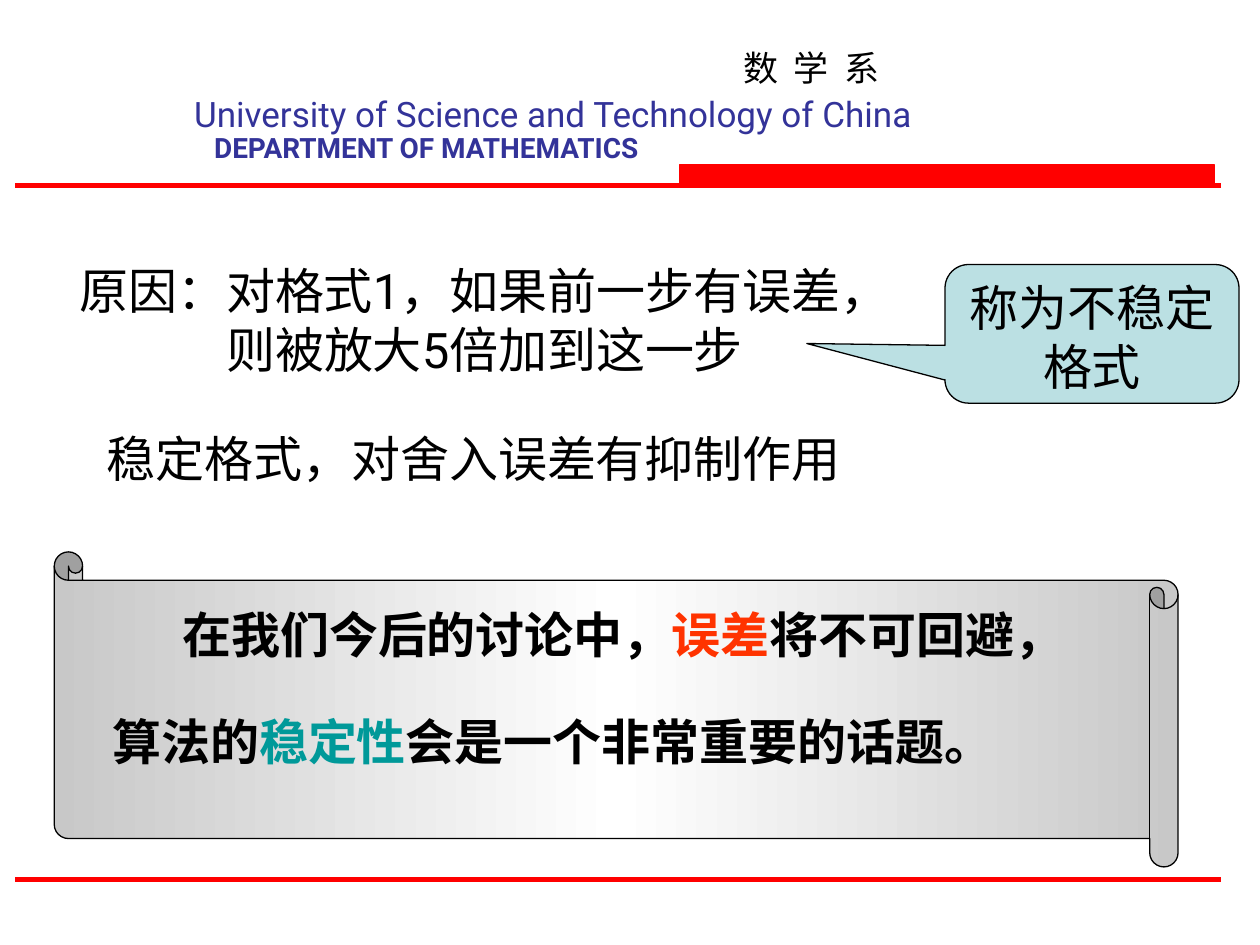
from copy import deepcopy

from pptx import Presentation
from pptx.dml.color import RGBColor
from pptx.enum import shapes, text
from pptx.oxml import ns, xmlchemy
from pptx.util import Pt

BLACK = RGBColor(0, 0, 0)
WHITE = RGBColor(255, 255, 255)
RED = RGBColor(255, 0, 0)
NAVY = RGBColor(0x33, 0x33, 0x99)
PALE_BLUE = RGBColor(0xBB, 0xE0, 0xE3)
SILVER = RGBColor(0xC8, 0xC8, 0xC8)
ORANGE = RGBColor(0xFF, 0x33, 0x00)
TEAL = RGBColor(0x00, 0x99, 0x99)
LATIN = "Roboto"
CHINESE = "Noto Sans CJK SC"
SERIF = "Times New Roman"


def add_run(paragraph, wording, size, color=BLACK, font=LATIN, bold=False):
    """Append a formatted run with a Chinese fallback font."""
    run = paragraph.add_run()
    run.text = wording
    run.font.size = Pt(size)
    run.font.color.rgb = color
    run.font.name = font
    run.font.bold = bold
    east_asian = xmlchemy.OxmlElement("a:ea")
    east_asian.set("typeface", CHINESE)
    run.font._element.find(ns.qn("a:latin")).addnext(east_asian)


def set_frame(shape, wrap, anchor=text.MSO_ANCHOR.TOP):
    """Set the insets, wrapping and anchor of a text frame."""
    frame = shape.text_frame
    frame.margin_left = frame.margin_right = Pt(7.2)
    frame.margin_top = frame.margin_bottom = Pt(3.6)
    frame.word_wrap = wrap
    frame.auto_size = text.MSO_AUTO_SIZE.NONE
    frame.vertical_anchor = anchor
    return frame


def write_centered(shape, lines, size, wrap=False, **style):
    """Write each line as a centred paragraph."""
    frame = set_frame(shape, wrap)
    for number, line in enumerate(lines):
        paragraph = frame.add_paragraph() if number else frame.paragraphs[0]
        paragraph.alignment = text.PP_ALIGN.CENTER
        paragraph.line_spacing = 1.0
        paragraph.space_before = Pt(0)
        add_run(paragraph, line, size, **style)


def add_label(slide, box, lines, size, **style):
    """Add a text box of centred lines."""
    label = slide.shapes.add_textbox(*map(Pt, box))
    write_centered(label, lines, size, **style)


def set_title(slide, box, wording, size, **style):
    """Place and write the slide title."""
    title = slide.shapes.title
    title.left, title.top, title.width, title.height = map(Pt, box)
    write_centered(title, [wording], size, **style)


def add_rule(slide, y):
    """Add a red rule across the slide."""
    rule = slide.shapes.add_connector(
        shapes.MSO_CONNECTOR.STRAIGHT, Pt(8.6), Pt(y), Pt(697.7), Pt(y))
    rule.line.color.rgb = RED
    rule.line.width = Pt(3)
    rule._element.spPr.append(xmlchemy.OxmlElement("a:effectLst"))


def add_outlined(slide, kind, box, fill, line=BLACK, adjustments=()):
    """Add a preset shape with a thin outline."""
    shape = slide.shapes.add_shape(kind, *map(Pt, box))
    shape.shadow.inherit = False
    shape.fill.solid()
    shape.fill.fore_color.rgb = fill
    shape.line.color.rgb = line
    shape.line.width = Pt(0.75)
    for index, value in enumerate(adjustments):
        shape.adjustments[index] = value
    return shape


def add_callout(slide):
    """Add the callout that names the unstable scheme."""
    callout = add_outlined(
        slide, shapes.MSO_SHAPE.ROUNDED_RECTANGULAR_CALLOUT,
        (540, 151.2, 168, 79.2), PALE_BLUE, adjustments=(-0.97, 0.07, 0.17))
    write_centered(callout, ["称为不稳定格式"], 28, wrap=True)


def shade(shape):
    """Fill a shape with a silver, white, silver gradient."""
    shape.fill.gradient()
    shape.fill.gradient_angle = 0
    stops = shape.fill.gradient_stops
    first, last = stops[0], stops[1]
    first.color.rgb = last.color.rgb = SILVER
    first.position, last.position = 0, 1
    first._gs.addnext(deepcopy(first._gs))
    middle = shape.fill.gradient_stops[1]
    middle.color.rgb = WHITE
    middle.position = 0.5


def add_scroll(slide):
    """Add the mirrored scroll with the closing remark."""
    scroll = add_outlined(slide, shapes.MSO_SHAPE.HORIZONTAL_SCROLL,
                          (31, 315.4, 642.2, 180), SILVER, adjustments=(0.09,))
    shade(scroll)
    scroll._element.spPr.xfrm.set("flipH", "1")
    frame = set_frame(scroll, True)
    remark = (
        (40, (("在我们今后的讨论中，", BLACK), ("误差", ORANGE),
              ("将不可回避，", BLACK))),
        (0, (("算法的", BLACK), ("稳定性", TEAL),
             ("会是一个非常重要的话题。", BLACK))),
    )
    for number, (indent, pieces) in enumerate(remark):
        paragraph = frame.add_paragraph() if number else frame.paragraphs[0]
        paragraph.alignment = text.PP_ALIGN.LEFT
        paragraph.line_spacing = 1.3
        paragraph.space_before = Pt(17.5 if number else 0)
        properties = paragraph._p.get_or_add_pPr()
        properties.set("marL", str(Pt(18)))
        properties.set("indent", str(Pt(indent)))
        for wording, color in pieces:
            add_run(paragraph, wording, 28, color, SERIF, True)


def main():
    """Build and save the slide."""
    presentation = Presentation()
    presentation.slide_width, presentation.slide_height = Pt(720), Pt(540)
    slide = presentation.slides.add_slide(presentation.slide_layouts[5])
    add_rule(slide, 502.6)
    add_label(slide, (417.6, 23, 92.2, 31.7), ["数  学  系"], 20, font=CHINESE)
    set_title(slide, (92.9, 49, 446.4, 31.7),
              "University of Science and Technology of China", 20, color=NAVY)
    add_label(slide, (109.4, 71.3, 268.6, 26.6),
              ["DEPARTMENT OF MATHEMATICS"], 16, color=NAVY, bold=True)
    add_rule(slide, 105.8)
    add_outlined(slide, shapes.MSO_SHAPE.RECTANGLE,
                 (388.1, 94.3, 306, 11.5), RED, RED)
    add_label(slide, (23.8, 145.4, 506.2, 74.9),
              ["原因：对格式1，如果前一步有误差，", "则被放大5倍加到这一步"],
              28, wrap=True)
    add_callout(slide)
    add_label(slide, (54, 241.2, 433.4, 41),
              ["稳定格式，对舍入误差有抑制作用"], 28)
    add_scroll(slide)
    presentation.save("out.pptx")


if __name__ == "__main__":
    main()
